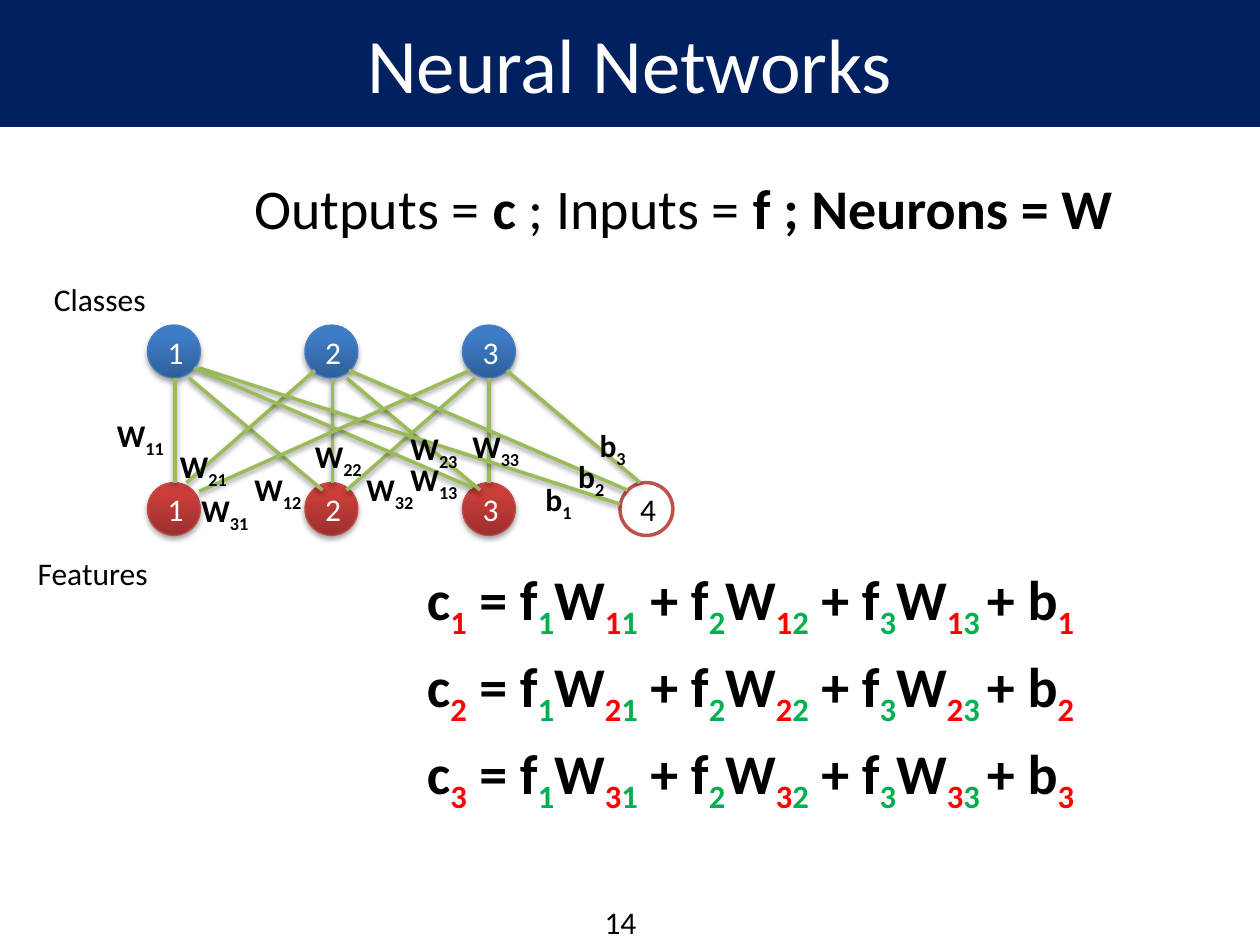
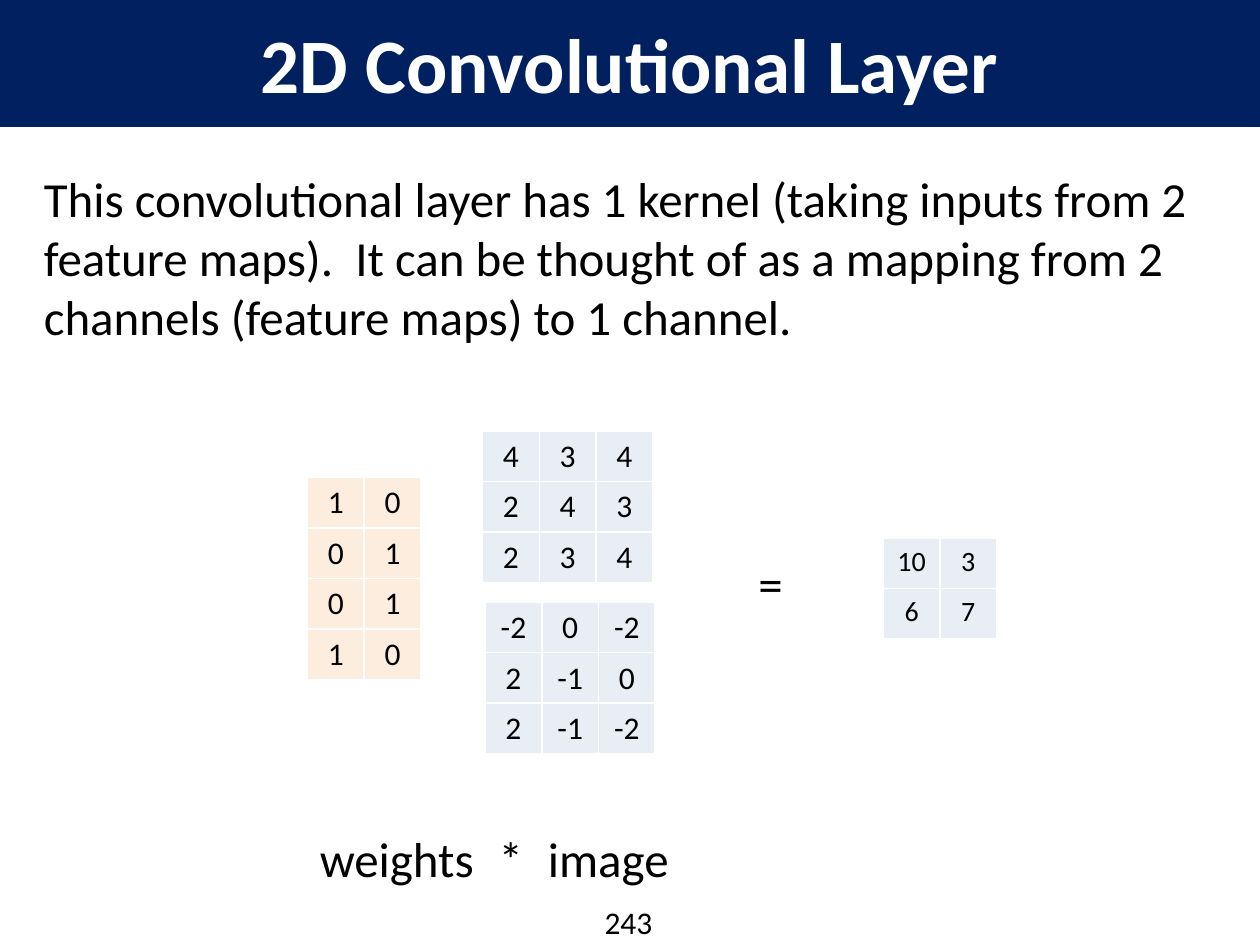
from dataclasses import dataclass

from lxml.etree import SubElement
from pptx import Presentation
from pptx.dml.color import RGBColor
from pptx.enum.shapes import MSO_CONNECTOR as Connector, MSO_SHAPE as Preset
from pptx.enum.text import MSO_ANCHOR as Anchor, PP_ALIGN as Align
from pptx.oxml.ns import qn
from pptx.util import Inches, Pt

FONT = "Calibri"
COLORS = {
    "navy": "002060", "white": "FFFFFF", "black": "000000",
    "class_dark": "2F5F99", "class_light": "3D7CC7", "class_edge": "4B7EBC",
    "feature_dark": "9C2F2D", "feature_light": "CB3E3A", "feature_edge": "BF4C48",
    "bias_edge": "C0504D", "link": "9BBB59",
    "output_index": "FF0000", "input_index": "00B050",
    "image_cell": "E9EDF4", "weight_cell": "F79646",
}
NODE_SIZE = 0.42
NODE_LEFT, NODE_STEP = 1.17, 1.25
CLASS_TOP, FEATURE_TOP = 2.58, 3.83
CELL_WIDTH, CELL_HEIGHT = 0.45, 0.4


@dataclass(frozen=True)
class Run:
    text: str
    color: str = "black"
    bold: bool | None = None
    subscript: bool = False


@dataclass(frozen=True)
class Label:
    left: float
    top: float
    width: float
    height: float
    runs: tuple[Run, ...]
    size: int = 18
    bold: bool = False
    wrap: bool = True


@dataclass(frozen=True)
class Link:
    x1: float
    y1: float
    x2: float
    y2: float


@dataclass(frozen=True)
class Matrix:
    left: float
    top: float
    rows: tuple[tuple[int, ...], ...]
    fill: str = "image_cell"
    opacity: int = 100
    size: int = 18


def rgb(color: str) -> RGBColor:
    return RGBColor.from_string(COLORS[color])


def style(paragraph, size: int, color: str = "black", bold: bool = False, align=None) -> None:
    font = paragraph.font
    font.name, font.size, font.bold = FONT, Pt(size), bold
    font.color.rgb = rgb(color)
    if align is not None:
        paragraph.alignment = align


def add_runs(paragraph, runs) -> None:
    for item in runs:
        run = paragraph.add_run()
        run.text = item.text
        if item.bold is not None:
            run.font.bold = item.bold
        if item.color != "black":
            run.font.color.rgb = rgb(item.color)
        if item.subscript:
            run.font._element.set("baseline", "-25000")


def add_label(slide, label: Label):
    box = slide.shapes.add_textbox(
        Inches(label.left), Inches(label.top), Inches(label.width), Inches(label.height))
    box.text_frame.word_wrap = label.wrap
    paragraph = box.text_frame.paragraphs[0]
    style(paragraph, label.size, bold=label.bold)
    add_runs(paragraph, label.runs)
    return box


def add_shadow(shape, opacity: int, blur: float, distance: float) -> None:
    effects = SubElement(shape.element.spPr, qn("a:effectLst"))
    shadow = SubElement(effects, qn("a:outerShdw"), blurRad=str(Pt(blur)),
                        dist=str(Pt(distance)), dir="5400000", rotWithShape="0")
    color = SubElement(shadow, qn("a:srgbClr"), val=COLORS["black"])
    SubElement(color, qn("a:alpha"), val=str(opacity * 1000))


def add_frame(slide, title: str, number: int, bold: bool = False) -> None:
    """Draw the title band and the slide number."""
    band = slide.shapes.add_shape(Preset.RECTANGLE, 0, 0, Inches(10), Inches(1))
    band.shadow.inherit = False
    band.fill.solid()
    band.fill.fore_color.rgb = rgb("navy")
    band.line.color.rgb = rgb("navy")
    band.line.width = Pt(0.75)
    band.text_frame.vertical_anchor = Anchor.MIDDLE
    paragraph = band.text_frame.paragraphs[0]
    paragraph.text = title
    style(paragraph, 44, "white", bold, Align.CENTER)
    add_label(slide, Label(4.7, 7.12, 0.83, 0.4, (Run(str(number)),)))


def add_node(slide, index: int, top: float, kind: str) -> None:
    """Draw one neuron; a bias node is hollow, the others are shaded."""
    node = slide.shapes.add_shape(
        Preset.OVAL, Inches(NODE_LEFT + (index - 1) * NODE_STEP), Inches(top),
        Inches(NODE_SIZE), Inches(NODE_SIZE))
    hollow = kind == "bias"
    node.line.color.rgb = rgb(f"{kind}_edge")
    node.line.width = Pt(2 if hollow else 0.75)
    if hollow:
        node.shadow.inherit = False
        node.fill.solid()
        node.fill.fore_color.rgb = rgb("white")
    else:
        node.fill.gradient()
        node.fill.gradient_angle = 90
        shades = ((0, f"{kind}_dark"), (0.8, f"{kind}_light"))
        for stop, (position, color) in zip(node.fill.gradient_stops, shades):
            stop.position = position
            stop.color.rgb = rgb(color)
        add_shadow(node, 35, 3.1, 1.8)
    node.text_frame.vertical_anchor = Anchor.MIDDLE
    paragraph = node.text_frame.paragraphs[0]
    paragraph.text = str(index)
    style(paragraph, 18, "black" if hollow else "white", align=Align.CENTER)


def add_link(slide, link: Link) -> None:
    line = slide.shapes.add_connector(
        Connector.STRAIGHT, Inches(link.x1), Inches(link.y1), Inches(link.x2), Inches(link.y2))
    line.line.color.rgb = rgb("link")
    line.line.width = Pt(2)
    add_shadow(line, 38, 3.1, 1.6)


def add_weight_label(slide, name: str, left: float, top: float) -> None:
    width = 0.6 if name[0] == "W" else 0.42
    runs = (Run(name[0]), Run(name[1:], subscript=True))
    add_label(slide, Label(left, top, width, 0.4, runs, bold=True, wrap=False))


def equation(output: int) -> list[Run]:
    """Give the runs of one output's weighted sum."""
    def output_index() -> Run:
        return Run(str(output), "output_index", subscript=True)

    runs = [Run("c"), output_index(), Run(" = f")]
    for feature in (1, 2, 3):
        last = feature == 3
        runs += [
            Run(str(feature), "input_index", subscript=True),
            Run("W"),
            output_index(),
            Run(f"{feature} " if last else str(feature), "input_index", subscript=True),
            Run("+ b" if last else " + f"),
        ]
    return runs + [output_index()]


def add_matrix(slide, matrix: Matrix) -> None:
    row_count, column_count = len(matrix.rows), len(matrix.rows[0])
    table = slide.shapes.add_table(
        row_count, column_count, Inches(matrix.left), Inches(matrix.top),
        Inches(CELL_WIDTH * column_count), Inches(CELL_HEIGHT * row_count)).table
    table.first_row = table.horz_banding = False
    for row, values in enumerate(matrix.rows):
        for column, value in enumerate(values):
            cell = table.cell(row, column)
            paragraph = cell.text_frame.paragraphs[0]
            paragraph.text = str(value)
            style(paragraph, matrix.size, align=Align.CENTER)
            fill_cell(cell, matrix)


def fill_cell(cell, matrix: Matrix) -> None:
    properties = cell._tc.get_or_add_tcPr()
    for side in ("a:lnL", "a:lnR", "a:lnT", "a:lnB"):
        border = SubElement(properties, qn(side), w=str(Pt(1)))
        SubElement(SubElement(border, qn("a:solidFill")), qn("a:srgbClr"), val=COLORS["white"])
    cell.fill.solid()
    cell.fill.fore_color.rgb = rgb(matrix.fill)
    if matrix.opacity < 100:
        color = properties.find(qn("a:solidFill")).find(qn("a:srgbClr"))
        SubElement(color, qn("a:alpha"), val=str(matrix.opacity * 1000))


LINKS = (
    Link(1.39, 3, 1.39, 3.83), Link(2.64, 3, 2.64, 3.83), Link(3.88, 3, 3.88, 3.83),
    Link(4.02, 2.94, 5.08, 3.83), Link(2.75, 3, 3.81, 3.89), Link(1.5, 3, 2.56, 3.89),
    Link(3.77, 3, 2.75, 3.89), Link(2.5, 2.94, 1.48, 3.83), Link(2.77, 2.94, 4.98, 3.89),
    Link(1.58, 2.92, 4.92, 4), Link(1.54, 2.92, 3.75, 3.87), Link(3.73, 2.94, 1.58, 3.9),
)
WEIGHT_LABELS = {
    "W11": (0.83, 3.25), "W21": (1.33, 3.5), "W12": (1.92, 3.68), "W22": (2.4, 3.42),
    "W32": (2.81, 3.68), "b1": (4.23, 3.76), "b2": (4.49, 3.58), "b3": (4.66, 3.33),
    "W13": (3.16, 3.6), "W23": (3.16, 3.36), "W33": (3.65, 3.34), "W31": (1.5, 3.85),
}
MATRICES = (
    Matrix(3.85, 4.78, ((-2, 0, -2), (2, -1, 0), (2, -1, -2))),
    Matrix(3.83, 3.42, ((4, 3, 4), (2, 4, 3), (2, 3, 4))),
    Matrix(2.44, 4.59, ((0, 1), (1, 0)), "weight_cell", 17),
    Matrix(2.44, 3.79, ((1, 0), (0, 1)), "weight_cell", 17),
    Matrix(7.01, 4.27, ((10, 3), (6, 7)), size=16),
)


def build_network_slide(slide) -> None:
    definitions = (Run("Outputs = "), Run("c", bold=True), Run(" ; Inputs = "),
                   Run("f ; Neurons = W", bold=True))
    body = add_label(slide, Label(1.92, 1.33, 7.75, 5.92, definitions, 32))
    for output in (1, 2, 3):
        paragraph = body.text_frame.add_paragraph()
        paragraph._p.get_or_add_pPr().set("marL", str(Inches(1.37)))
        paragraph.space_before = Pt(185 if output == 1 else 6)
        style(paragraph, 32, bold=True)
        add_runs(paragraph, equation(output))

    add_frame(slide, "Neural Networks", 14)
    for index in (1, 2, 3):
        add_node(slide, index, CLASS_TOP, "class")
        add_node(slide, index, FEATURE_TOP, "feature")
    add_node(slide, 4, FEATURE_TOP, "bias")
    add_label(slide, Label(0.2, 4.35, 1.08, 0.4, (Run("Features"),), wrap=False))
    add_label(slide, Label(0.33, 2.17, 0.94, 0.4, (Run("Classes"),), wrap=False))
    for link in LINKS:
        add_link(slide, link)
    for name, (left, top) in WEIGHT_LABELS.items():
        add_weight_label(slide, name, left, top)


def build_convolution_slide(slide) -> None:
    add_frame(slide, "2D Convolutional Layer", 243, bold=True)
    summary = ("This convolutional layer has 1 kernel (taking inputs from 2 feature maps).  "
               "It can be thought of as a mapping from 2 channels (feature maps) to 1 channel.")
    add_label(slide, Label(0.25, 1.29, 9.5, 1.51, (Run(summary),), 28))
    for text, left, top, width in (("weights", 2.44, 6.53, 1.5), ("*", 3.86, 6.53, 0.4),
                                   ("image", 4.25, 6.53, 1.5), ("=", 5.92, 4.34, 1.5)):
        add_label(slide, Label(left, top, width, 0.57, (Run(text),), 28))
    for matrix in MATRICES:
        add_matrix(slide, matrix)


def main() -> None:
    presentation = Presentation()
    presentation.slide_width, presentation.slide_height = Inches(10), Inches(7.5)
    blank = presentation.slide_layouts[6]
    for build in (build_network_slide, build_convolution_slide):
        build(presentation.slides.add_slide(blank))
    presentation.save("out.pptx")


if __name__ == "__main__":
    main()
